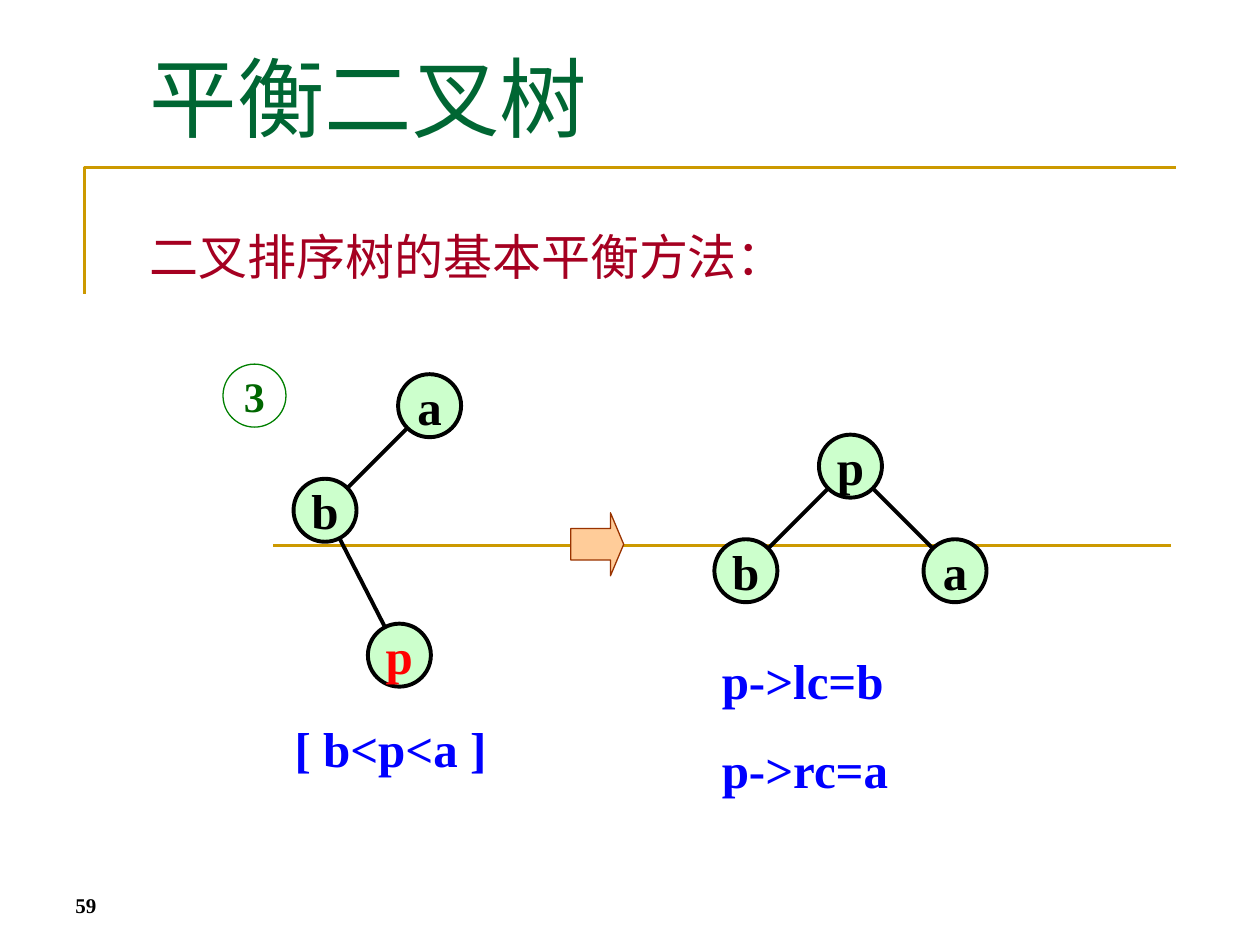
from math import hypot

from lxml import etree
from pptx import Presentation
from pptx.dml.color import RGBColor
from pptx.enum.shapes import MSO_CONNECTOR, MSO_SHAPE
from pptx.enum.text import MSO_ANCHOR, PP_ALIGN
from pptx.oxml.ns import qn
from pptx.util import Inches, Pt

LINE = MSO_CONNECTOR.STRAIGHT
OVAL = MSO_SHAPE.OVAL
ARROW = MSO_SHAPE.RIGHT_ARROW
TOP, MIDDLE, BOTTOM = MSO_ANCHOR.TOP, MSO_ANCHOR.MIDDLE, MSO_ANCHOR.BOTTOM
LEFT, CENTER = PP_ALIGN.LEFT, PP_ALIGN.CENTER

BLACK = RGBColor(0, 0, 0)
RED = RGBColor(0xFF, 0, 0)
BLUE = RGBColor(0, 0, 0xFF)
GOLD = RGBColor(0xCC, 0x99, 0)
TITLE_GREEN = RGBColor(0, 0x66, 0x33)
DARK_GREEN = RGBColor(0, 0x66, 0)
RING_GREEN = RGBColor(0, 0x80, 0)
NODE_GREEN = RGBColor(0xCC, 0xFF, 0xCC)
CRIMSON = RGBColor(0xA5, 0, 0x21)
PEACH = RGBColor(0xFF, 0xCC, 0x99)
BROWN = RGBColor(0x99, 0x33, 0)

SERIF = "Times New Roman"
RADIUS = 0.25
STEP = 0.83


def write(sp, lines, size, color, font=SERIF, bold=True, align=LEFT,
          anchor=TOP, wrap=True, gap=0):
    """Fill a shape with evenly formatted paragraphs."""
    tf = sp.text_frame
    tf.word_wrap = wrap
    tf.vertical_anchor = anchor
    tf.text = "\n".join(lines)
    for i, p in enumerate(tf.paragraphs):
        p.alignment = align
        p.space_before = Pt(gap if i else 0)
        p.font.name = font
        p.font.size = Pt(size)
        p.font.bold = bold
        p.font.color.rgb = color


def add_text(shapes, box, lines, size, color, **style):
    """Add a text box at left, top, width, height in inches."""
    sp = shapes.add_textbox(*map(Inches, box))
    write(sp, lines, size, color, **style)


def add_shape(shapes, kind, box, fill, line, width):
    """Add a preset shape without a shadow."""
    sp = shapes.add_shape(kind, *map(Inches, box))
    sp.shadow.inherit = False
    if fill is None:
        sp.fill.background()
    else:
        sp.fill.solid()
        sp.fill.fore_color.rgb = fill
    sp.line.color.rgb = line
    sp.line.width = Pt(width)
    return sp


def add_line(shapes, start, end, color, width):
    """Add a straight line between two points in inches."""
    line = shapes.add_connector(LINE, *map(Inches, (*start, *end)))
    line.line.color.rgb = color
    line.line.width = Pt(width)
    etree.SubElement(line._element.spPr, qn("a:effectLst"))


def add_circle(shapes, center, label, size, color, fill, line, width):
    """Add a labelled circle around a centre point."""
    x, y = center
    box = (x - RADIUS, y - RADIUS, 2 * RADIUS, 2 * RADIUS)
    sp = add_shape(shapes, OVAL, box, fill, line, width)
    write(sp, [label], size, color, align=CENTER, anchor=MIDDLE, wrap=False)


def add_tree(shapes, nodes, edges, marked=None):
    """Group circles with the edges that run from rim to rim."""
    group = shapes.add_group_shape().shapes
    for label, center in nodes.items():
        color = RED if label == marked else BLACK
        add_circle(group, center, label, 28, color, NODE_GREEN, BLACK, 2.25)
    for parent, child in edges:
        (x1, y1), (x2, y2) = nodes[parent], nodes[child]
        share = RADIUS / hypot(x2 - x1, y2 - y1)
        dx, dy = (x2 - x1) * share, (y2 - y1) * share
        add_line(group, (x1 + dx, y1 + dy), (x2 - dx, y2 - dy), BLACK, 2.25)


def add_frame(shapes):
    """Draw the gold corner and the gold rule."""
    builder = shapes.build_freeform(Inches(0.67), Inches(2.33))
    corner = [(0.67, 1.33), (9.33, 1.33)]
    builder.add_line_segments([(Inches(x), Inches(y)) for x, y in corner],
                              close=False)
    sp = builder.convert_to_shape()
    sp.shadow.inherit = False
    sp.fill.background()
    sp.line.color.rgb = GOLD
    sp.line.width = Pt(2)
    add_line(shapes, (2.17, 4.33), (9.29, 4.33), GOLD, 1.5)


def add_title(slide, text):
    """Move and format the title placeholder."""
    sp = slide.shapes.title
    sp.left, sp.top, sp.width, sp.height = map(Inches, (1.09, 0.3, 7.89, 1.25))
    write(sp, [text], 50, TITLE_GREEN, bold=False)


def main():
    """Build the slide on rebalancing a binary search tree."""
    prs = Presentation()
    prs.slide_width, prs.slide_height = Inches(10), Inches(7.5)
    slide = prs.slides.add_slide(prs.slide_layouts[5])
    shapes = slide.shapes
    add_frame(shapes)
    add_title(slide, "平衡二叉树")
    add_text(shapes, (1.09, 1.75, 7.89, 4.95), ["二叉排序树的基本平衡方法："],
             28, CRIMSON, font="Arial", bold=False)
    add_circle(shapes, (2.02, 3.14), "3", 24, DARK_GREEN, None, RING_GREEN, 0.75)
    arrow = add_shape(shapes, ARROW, (4.53, 4.07, 0.42, 0.5), PEACH, BROWN, 0.75)
    arrow.adjustments[0], arrow.adjustments[1] = 0.5, 0.25
    x, y = 3.41, 3.22
    before = {"a": (x, y), "b": (x - STEP, y + STEP), "p": (3.17, 5.2)}
    add_tree(shapes, before, ["ab", "bp"], marked="p")
    x, y = 6.75, 3.7
    after = {"p": (x, y), "b": (x - STEP, y + STEP), "a": (x + STEP, y + STEP)}
    add_tree(shapes, after, ["pb", "pa"])
    add_text(shapes, (2.24, 5.65, 1.73, 0.57), ["[ b<p<a ]"], 28, BLUE)
    add_text(shapes, (5.63, 5.11, 2.28, 1.28), ["p->lc=b", "p->rc=a"],
             28, BLUE, gap=17.5)
    add_text(shapes, (0.5, 6.83, 2.33, 0.5), ["59"], 12, BLACK, anchor=BOTTOM)
    prs.save("out.pptx")


if __name__ == "__main__":
    main()
